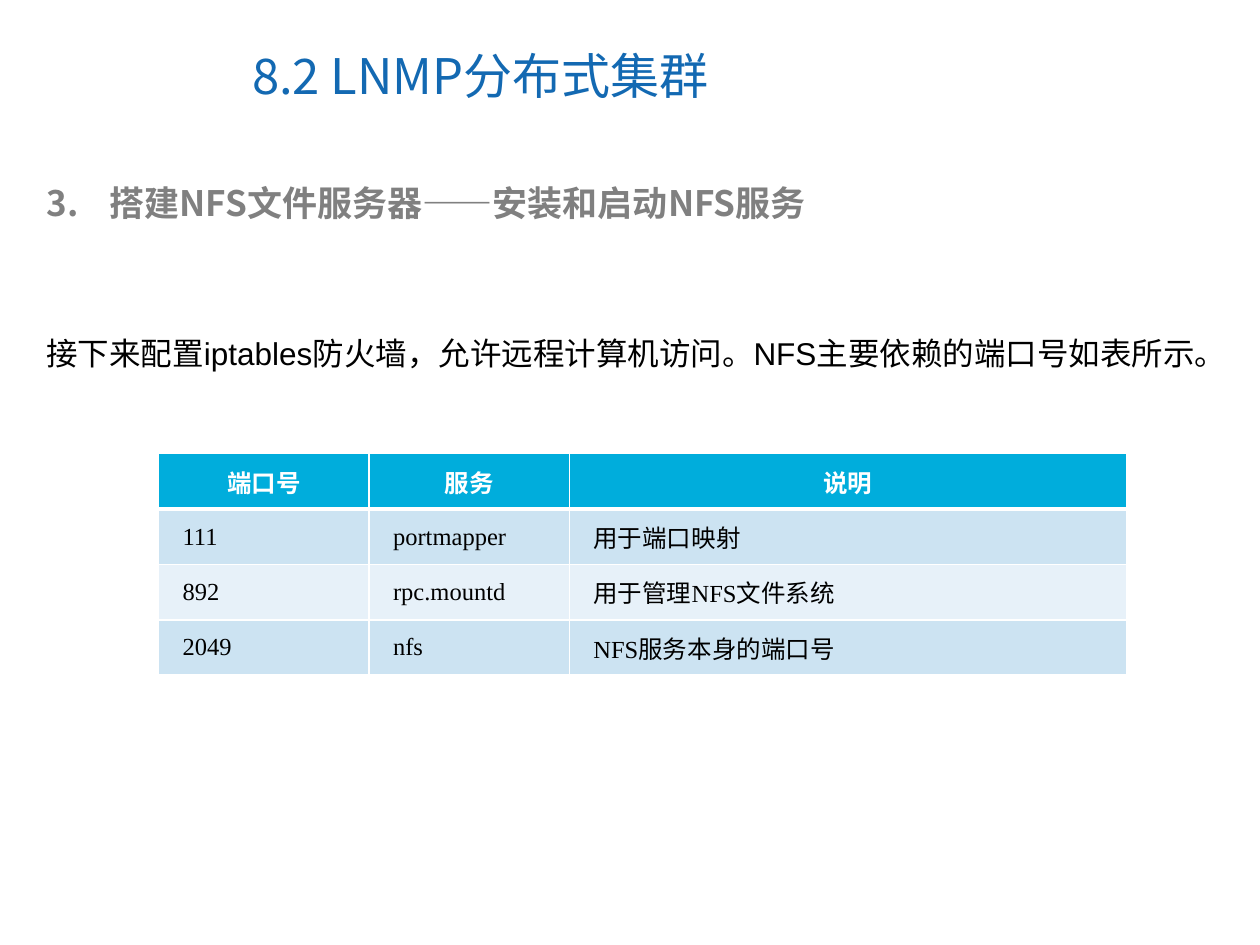
from dataclasses import dataclass

from pptx import Presentation
from pptx.dml.color import RGBColor
from pptx.enum.text import MSO_ANCHOR, PP_ALIGN
from pptx.oxml.ns import qn
from pptx.util import Inches, Pt
from lxml import etree

LEFT, CENTER, JUSTIFY = PP_ALIGN.LEFT, PP_ALIGN.CENTER, PP_ALIGN.JUSTIFY
TOP, MIDDLE = MSO_ANCHOR.TOP, MSO_ANCHOR.MIDDLE
SLIDE_W, SLIDE_H = Inches(10), Inches(7.5)
CJK, SANS, SERIF = "Noto Sans CJK SC", "Arial", "Times New Roman"
WHITE, BLACK, BLUE, GRAY = "FFFFFF", "000000", "1369B2", "808080"
HEADER_FILL, BAND_FILLS = "00ADDC", ("CCE3F2", "E7F1F9")


@dataclass
class Box:
    """Left, top, width and height in inches on the slide."""
    x: float
    y: float
    w: float
    h: float

    def lengths(self) -> tuple:
        return tuple(Inches(v) for v in (self.x, self.y, self.w, self.h))


@dataclass
class Style:
    size: float
    font: str
    color: str
    bold: bool = False
    align: int = LEFT


TITLE = Style(28, CJK, BLUE)
HEADING = Style(20, CJK, GRAY, bold=True)
BODY = Style(18, SANS, BLACK)
HEADER_CELL = Style(14, SANS, WHITE, bold=True, align=CENTER)
BODY_CELL = Style(14, SERIF, BLACK, align=JUSTIFY)

PORTS = [
    ("端口号", "服务", "说明"),
    ("111", "portmapper", "用于端口映射"),
    ("892", "rpc.mountd", "用于管理NFS文件系统"),
    ("2049", "nfs", "NFS服务本身的端口号"),
]
COLUMN_WIDTHS = (1.67, 1.59, 4.42)
ROW_HEIGHT = 0.44


def rgb(value: str) -> RGBColor:
    return RGBColor.from_string(value)


def set_indent(p, left: float, first: float = 0) -> None:
    pPr = p._p.get_or_add_pPr()
    pPr.set("marL", str(Inches(left)))
    pPr.set("indent", str(Inches(first)))


def set_number(p, start: int) -> None:
    number = etree.SubElement(p._p.get_or_add_pPr(), qn("a:buAutoNum"))
    number.set("type", "arabicPeriod")
    number.set("startAt", str(start))


def style_paragraph(p, style: Style) -> None:
    p.alignment = style.align
    font = p.font
    font.size, font.name, font.bold = Pt(style.size), style.font, style.bold
    font.color.rgb = rgb(style.color)
    # East Asian characters take their own typeface
    defaults = p._p.pPr.find(qn("a:defRPr"))
    etree.SubElement(defaults, qn("a:ea")).set("typeface", CJK)


def add_text(slide, box: Box, text: str):
    tf = slide.shapes.add_textbox(*box.lengths()).text_frame
    tf.word_wrap = True
    tf.vertical_anchor = TOP
    p = tf.paragraphs[0]
    p.text = text
    return p


def set_border(cell, side: str, width: float) -> None:
    ln = etree.SubElement(cell._tc.get_or_add_tcPr(), qn(f"a:ln{side}"))
    ln.set("w", str(Pt(width)))
    fill = etree.SubElement(ln, qn("a:solidFill"))
    etree.SubElement(fill, qn("a:srgbClr")).set("val", WHITE)


def fill_cell(cell, text: str, row: int) -> None:
    cell.margin_left = cell.margin_right = Inches(0.07)
    cell.margin_top = cell.margin_bottom = 0
    cell.vertical_anchor = MIDDLE
    # A thick rule separates the header from the body
    widths = {"L": 1, "R": 1, "T": 3 if row == 1 else 1, "B": 3 if row == 0 else 1}
    for side, width in widths.items():
        set_border(cell, side, width)
    cell.fill.solid()
    cell.fill.fore_color.rgb = rgb(BAND_FILLS[(row - 1) % 2] if row else HEADER_FILL)
    p = cell.text_frame.paragraphs[0]
    p.text = text
    if row:
        set_indent(p, 0.12)
    style_paragraph(p, BODY_CELL if row else HEADER_CELL)


def add_port_table(slide, x: float, y: float) -> None:
    box = Box(x, y, sum(COLUMN_WIDTHS), ROW_HEIGHT * len(PORTS))
    table = slide.shapes.add_table(len(PORTS), len(COLUMN_WIDTHS), *box.lengths()).table
    for column, width in zip(table.columns, COLUMN_WIDTHS):
        column.width = Inches(width)
    for r, values in enumerate(PORTS):
        table.rows[r].height = Inches(ROW_HEIGHT)
        for c, value in enumerate(values):
            fill_cell(table.cell(r, c), value, r)


def main() -> None:
    prs = Presentation()
    prs.slide_width, prs.slide_height = SLIDE_W, SLIDE_H
    slide = prs.slides.add_slide(prs.slide_layouts[5])

    # Title
    title = slide.shapes.title
    title.left, title.top, title.width, title.height = Box(1.9, 0.17, 5.67, 0.85).lengths()
    title.text_frame.text = "8.2 LNMP分布式集群"
    title.text_frame.vertical_anchor = MIDDLE
    style_paragraph(title.text_frame.paragraphs[0], TITLE)

    # Numbered heading
    p = add_text(slide, Box(0.27, 1.39, 9.22, 0.44), "搭建NFS文件服务器——安装和启动NFS服务")
    set_indent(p, 0.5, -0.5)
    set_number(p, 3)
    style_paragraph(p, HEADING)

    # Introduction
    p = add_text(slide, Box(0.27, 2.3, 9.38, 0.71),
                 "接下来配置iptables防火墙，允许远程计算机访问。NFS主要依赖的端口号如表所示。")
    p.line_spacing = 2.0
    style_paragraph(p, BODY)

    # Port table
    add_port_table(slide, 1.26, 3.6)
    prs.save("out.pptx")


if __name__ == "__main__":
    main()
